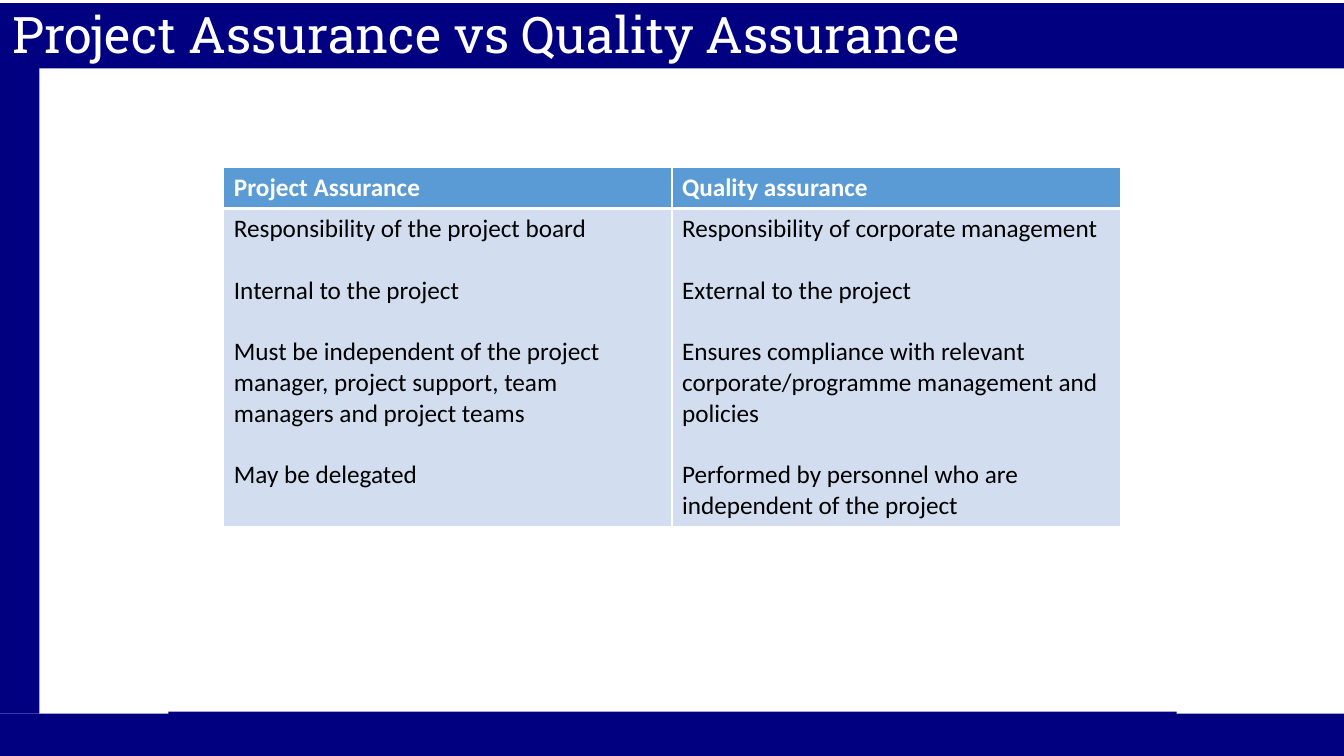
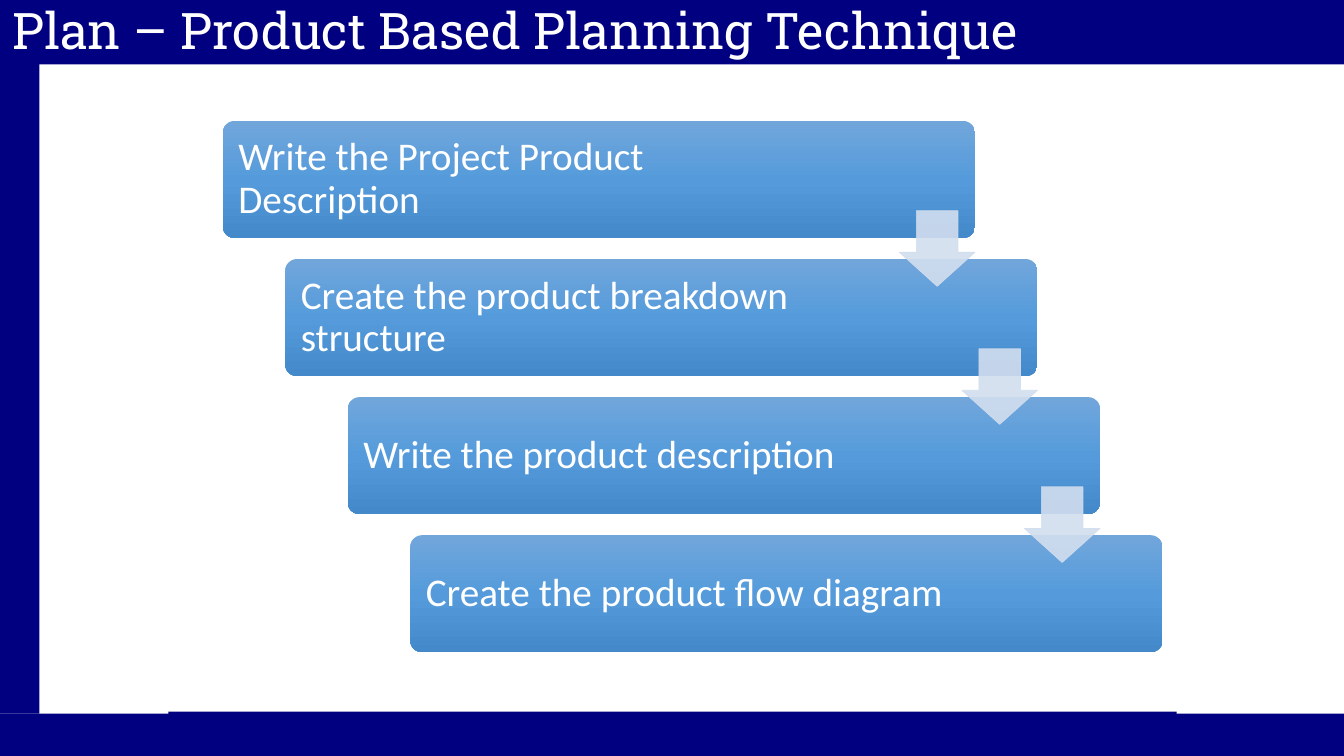
from copy import deepcopy

from lxml.etree import SubElement
from pptx import Presentation
from pptx.dml.color import RGBColor
from pptx.enum.shapes import MSO_SHAPE as Preset
from pptx.enum.text import MSO_ANCHOR as Anchor, MSO_AUTO_SIZE as AutoSize, PP_ALIGN as Align
from pptx.oxml.ns import qn
from pptx.util import Inches, Pt

NAVY, WHITE, BLACK = "000080", "FFFFFF", "000000"
HEADER_BLUE, PALE_BLUE = "5B9BD5", "D2DEEF"
STEP_GRADIENT = [(0, "71A6DB"), (0.5, "559BDB"), (1, "448ACA")]
TITLE_FONT, BODY_FONT = "Roboto Slab", "Calibri"

BANDS = [(1.67, 7.06, 10, 0.44), (0, 0.62, 0.39, 6.46), (0, 7.08, 13.33, 0.42)]

ASSURANCE = [
    ("Project Assurance", [
        "Responsibility of the project board",
        "Internal to the project",
        "Must be independent of the project manager, project support, team managers "
        "and project teams",
        "May be delegated",
    ]),
    ("Quality assurance", [
        "Responsibility of corporate management",
        "External to the project",
        "Ensures compliance with relevant corporate/programme management and policies",
        "Performed by personnel who are independent of the project",
    ]),
]

STEPS = [
    "Write the Project Product Description",
    "Create the product breakdown structure",
    "Write the product description",
    "Create the product flow diagram",
]


def color(hex_value):
    return RGBColor.from_string(hex_value)


def apply(target, **values):
    for attribute, value in values.items():
        setattr(target, attribute, value)


def paint(target, hex_value):
    target.fill.solid()
    target.fill.fore_color.rgb = color(hex_value)


def write(frame, paragraphs, hex_value, size, font=BODY_FONT, bold=False, gap=0, spacing=None):
    for index, text in enumerate(paragraphs):
        paragraph = frame.add_paragraph() if index else frame.paragraphs[0]
        paragraph.text = text
        apply(paragraph, alignment=Align.LEFT, line_spacing=spacing,
              space_before=Pt(gap if index else 0))
        apply(paragraph.font, name=font, size=Pt(size), bold=bold)
        paragraph.font.color.rgb = color(hex_value)


def add_preset(slide, preset, box, adjustments=()):
    shape = slide.shapes.add_shape(preset, *map(Inches, box))
    shape.shadow.inherit = False
    shape.line.fill.background()
    for index, value in enumerate(adjustments):
        shape.adjustments[index] = value
    return shape


def move_bands_to_layout(slide, layout):
    for placeholder in list(layout.placeholders):
        if placeholder.placeholder_format.idx:
            placeholder.element.getparent().remove(placeholder.element)
    for position, box in enumerate(BANDS, start=2):
        band = add_preset(slide, Preset.RECTANGLE, box)
        paint(band, NAVY)
        layout.shapes.element.insert(position, band.element)


def add_title(slide, text, top):
    title = slide.shapes.title
    apply(title, left=0, top=Inches(top), width=Inches(13.33), height=Inches(0.65))
    paint(title, NAVY)
    apply(title.text_frame, margin_left=Inches(0.12), margin_top=0, margin_right=0,
          margin_bottom=0, vertical_anchor=Anchor.TOP, word_wrap=True, auto_size=AutoSize.NONE)
    write(title.text_frame, [text], WHITE, 36, TITLE_FONT)


def add_borders(cell, **widths):
    properties = cell._tc.get_or_add_tcPr()
    for position, side in enumerate(("lnL", "lnR", "lnT", "lnB")):
        border = SubElement(properties, qn(f"a:{side}"), w=str(Pt(widths.get(side, 1))))
        fill = SubElement(border, qn("a:solidFill"))
        SubElement(fill, qn("a:srgbClr"), val=WHITE)
        properties.insert(position, border)


def add_comparison(slide):
    table = slide.shapes.add_table(
        2, len(ASSURANCE), *map(Inches, (2.22, 1.66, 8.89, 3.51))).table
    for row, height in zip(table.rows, (0.41, 3.1)):
        row.height = Inches(height)
    for column, (heading, points) in enumerate(ASSURANCE):
        header, body = table.cell(0, column), table.cell(1, column)
        paint(header, HEADER_BLUE)
        paint(body, PALE_BLUE)
        write(header.text_frame, [heading], WHITE, 18, bold=True)
        write(body.text_frame, points, BLACK, 18, gap=22)
        add_borders(header, lnB=3)
        add_borders(body, lnT=3)


def paint_gradient(shape):
    shape.fill.gradient()
    shape.fill.gradient_angle = 270
    stop_list = next(shape.element.spPr.iter(qn("a:gsLst")))
    stop_list.append(deepcopy(stop_list[-1]))
    for stop, (position, hex_value) in zip(shape.fill.gradient_stops, STEP_GRADIENT):
        stop.position = position
        stop.color.rgb = color(hex_value)


def add_step(slide, text, box):
    step = add_preset(slide, Preset.ROUNDED_RECTANGLE, box, [0.1])
    paint_gradient(step)
    apply(step.text_frame, margin_left=Inches(0.12), margin_right=Inches(1.45),
          margin_top=Inches(0.12), margin_bottom=Inches(0.12),
          vertical_anchor=Anchor.MIDDLE, word_wrap=True)
    write(step.text_frame, [text], WHITE, 28, spacing=0.9)


def add_step_arrow(slide, left, top, size):
    arrow = add_preset(slide, Preset.DOWN_ARROW, (left, top, size, size), [0.55, 0.45])
    paint(arrow, PALE_BLUE)
    paint(arrow.line, PALE_BLUE)
    arrow.line.width = Pt(0.5)
    for tint in arrow.element.spPr.iter(qn("a:srgbClr")):
        SubElement(tint, qn("a:alpha"), val="90000")


def add_staircase(slide):
    width, height, arrow_size = 7.46, 1.16, 0.75
    corners = [(2.21 + 0.62 * index, 1.2 + 1.37 * index) for index in range(len(STEPS))]
    for text, (left, top) in zip(STEPS, corners):
        add_step(slide, text, (left, top, width, height))
    for left, top in corners[:-1]:
        add_step_arrow(slide, left + width - arrow_size, top + 0.89, arrow_size)


def main():
    deck = Presentation()
    apply(deck, slide_width=Inches(13.33), slide_height=Inches(7.5))
    layout = deck.slide_layouts[5]

    assurance = deck.slides.add_slide(layout)
    move_bands_to_layout(assurance, layout)
    add_title(assurance, "Project Assurance vs Quality Assurance", 0.03)
    add_comparison(assurance)

    planning = deck.slides.add_slide(layout)
    add_title(planning, "Plan – Product Based Planning Technique", -0.01)
    add_staircase(planning)

    deck.save("out.pptx")


if __name__ == "__main__":
    main()
